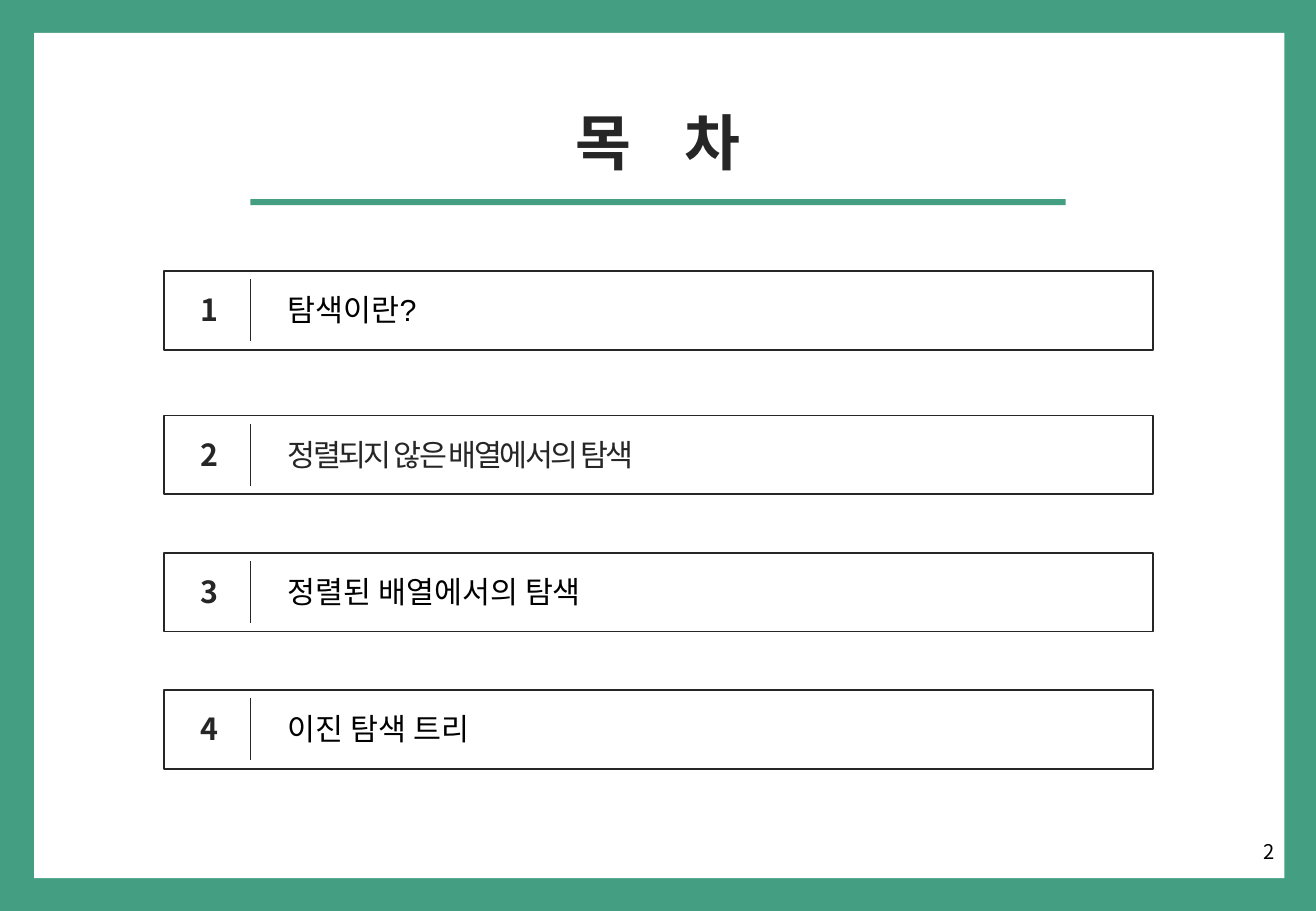
"""Build the table-of-contents slide with its green frame and four numbered rows."""
from lxml.etree import SubElement
from pptx import Presentation
from pptx.dml.color import RGBColor
from pptx.enum.shapes import MSO_CONNECTOR as Connector, MSO_SHAPE as Shape
from pptx.enum.text import MSO_ANCHOR as Anchor, MSO_AUTO_SIZE as AutoSize, PP_ALIGN as Align
from pptx.oxml.ns import qn
from pptx.util import Inches, Pt

WIDTH, HEIGHT = 10.83, 7.5
COLUMNS, ROWS = 1083, 750
GREEN, INK, BLACK, WHITE = "449E82", "262626", "000000", "FFFFFF"
SANS, TIGHT = "Noto Sans CJK KR", -1.5


def color(code):
    return RGBColor.from_string(code)


class Page:
    def __init__(self, deck):
        self.slide = deck.slides.add_slide(deck.slide_layouts[6])
        self.layer = self.slide.shapes

    def start_group(self):
        self.layer = self.slide.shapes.add_group_shape().shapes

    def end_group(self):
        self.layer = self.slide.shapes

    def place(self, column, row, columns, rows):
        across, down = WIDTH / COLUMNS, HEIGHT / ROWS
        return (Inches(column * across), Inches(row * down),
                Inches(columns * across), Inches(rows * down))

    def rectangle(self, area, fill, outline=None):
        box = self.layer.add_shape(Shape.RECTANGLE, *self.place(*area))
        box.shadow.inherit = False
        box.fill.solid()
        box.fill.fore_color.rgb = color(fill)
        if outline:
            box.line.color.rgb = color(outline)
            box.line.width = Pt(1)
        else:
            box.line.fill.background()

    def divider(self, column, row, rows):
        left, top, _, height = self.place(column, row, 0, rows)
        line = self.layer.add_connector(Connector.STRAIGHT, left, top, left, top + height)
        line.line.color.rgb = color(INK)
        line.line.width = Pt(0.5)
        SubElement(line._element.spPr, qn("a:effectLst"))

    def style(self, span, size, shade, bold, font, spacing):
        span.font.size = Pt(size)
        span.font.name = font
        span.font.bold = bold
        span.font.color.rgb = color(shade)
        properties = span.font._element
        properties.set("spc", str(round(spacing * 100)))
        SubElement(properties, qn("a:ea")).set("typeface", SANS)

    def text(self, area, pieces, size=18, shade=INK, bold=False, font=SANS,
             align=Align.LEFT, anchor=Anchor.TOP, wrap=False, grow=True):
        box = self.layer.add_textbox(*self.place(*area))
        frame = box.text_frame
        frame.word_wrap = wrap
        frame.auto_size = AutoSize.SHAPE_TO_FIT_TEXT if grow else AutoSize.NONE
        frame.vertical_anchor = anchor
        para = frame.paragraphs[0]
        para.alignment = align
        for words, spacing in pieces:
            span = para.add_run()
            span.text = words
            self.style(span, size, shade, bold, font, spacing)

    def entry(self, top, number, words, columns, shade=BLACK, font=SANS, spacing=0):
        self.start_group()
        self.rectangle((135, top, 814, 65), WHITE, INK)
        self.divider(206, top + 7, 51)
        self.text((227, top + 12, columns, 40), [(words, spacing)], shade=shade, font=font)
        self.text((155, top + 12, 33, 40), [(str(number), TIGHT)], bold=True)
        self.end_group()


deck = Presentation()
deck.slide_width, deck.slide_height = Inches(WIDTH), Inches(HEIGHT)
page = Page(deck)

page.rectangle((0, 0, COLUMNS, ROWS), GREEN)
page.rectangle((28, 27, 1029, 696), WHITE)
page.text((444, 81, 195, 71), [("목 ", 11.6), ("차", TIGHT)], size=36, bold=True,
          align=Align.CENTER, wrap=True)

first_top, second_top, pitch = 223, 342, 113
tops = [first_top] + [second_top + pitch * step for step in range(3)]
entries = [
    dict(words="탐색이란?", columns=133, font="Arial"),
    dict(words="정렬되지 않은 배열에서의 탐색", columns=342, shade=INK, spacing=TIGHT),
    dict(words="정렬된 배열에서의 탐색", columns=291),
    dict(words="이진 탐색 트리", columns=190),
]
for number, (top, entry) in enumerate(zip(tops, entries), start=1):
    page.entry(top, number, **entry)

page.rectangle((206, 164, 671, 5), GREEN)
page.text((815, 681, 244, 40), [("2", 0)], size=12, shade=BLACK, align=Align.RIGHT,
          anchor=Anchor.MIDDLE, wrap=True, grow=False)

deck.save("out.pptx")
